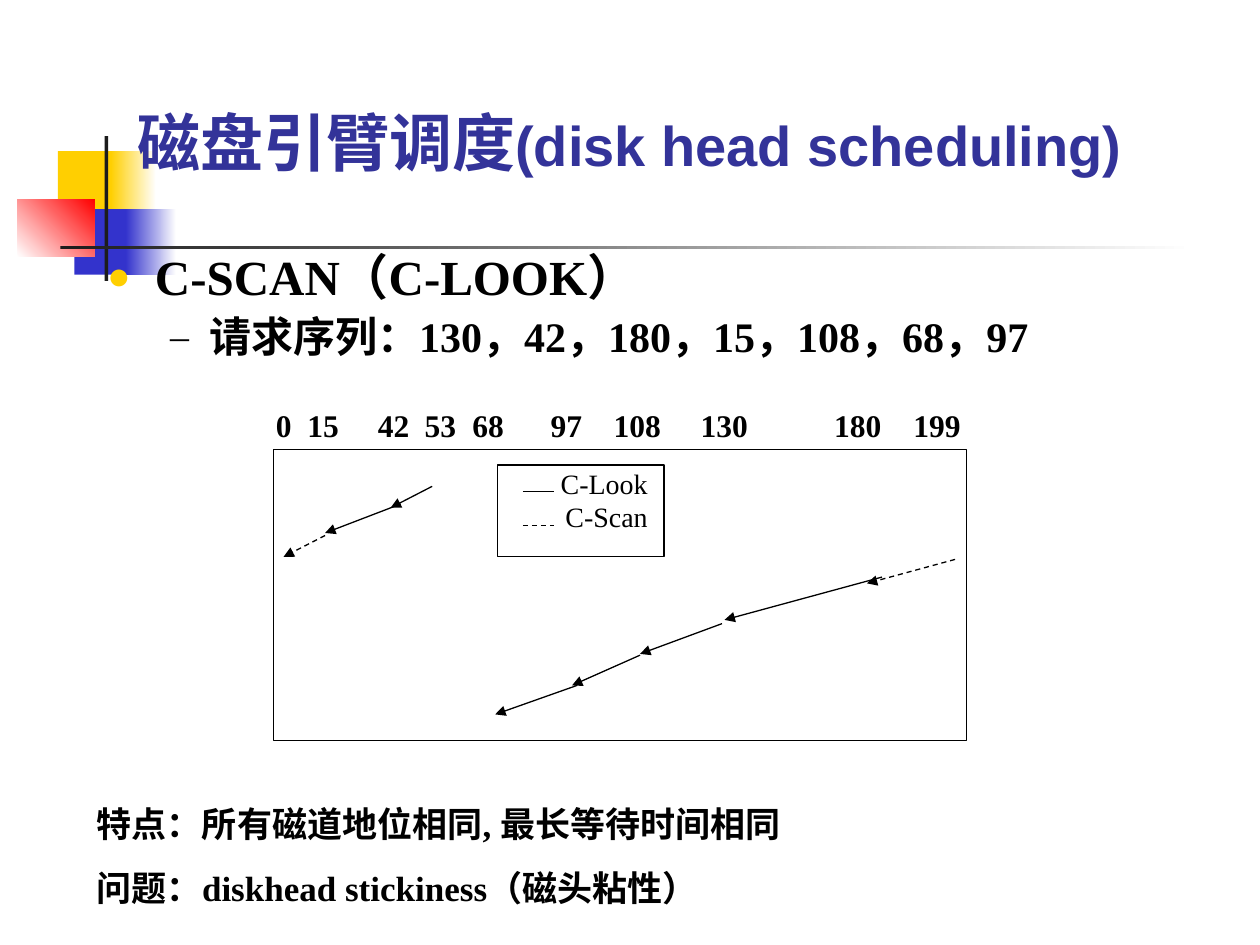
import lxml.etree
import pptx
import pptx.dml.color
import pptx.enum.dml
import pptx.enum.shapes
import pptx.enum.text
import pptx.oxml.ns
import pptx.util

Inches = pptx.util.Inches
Pt = pptx.util.Pt
RGBColor = pptx.dml.color.RGBColor
PP_ALIGN = pptx.enum.text.PP_ALIGN
MSO_ANCHOR = pptx.enum.text.MSO_ANCHOR
DASH = pptx.enum.dml.MSO_LINE.DASH
qn = pptx.oxml.ns.qn

WHITE = RGBColor(0xFF, 0xFF, 0xFF)
BLACK = RGBColor(0, 0, 0)
CHARCOAL = RGBColor(0x1C, 0x1C, 0x1C)
YELLOW = RGBColor(0xFF, 0xCF, 0x01)
BLUE = RGBColor(0x33, 0x33, 0xCC)
RED = RGBColor(0xFF, 0, 0)
TITLE_BLUE = RGBColor(0x33, 0x33, 0x99)
SERIF = "Times New Roman"

TRACKS = [("0", 0), ("15", 0.25), ("42", 0.81), ("53", 1.18), ("68", 1.56),
          ("97", 2.18), ("108", 2.68), ("130", 3.37), ("180", 4.43), ("199", 5.06)]
LOOK_MOVES = [(1.26, 0.29, 0.93, 0.46), (1.01, 0.43, 0.41, 0.66),
              (4.83, 1.01, 3.58, 1.35), (3.56, 1.38, 2.91, 1.62),
              (2.91, 1.63, 2.37, 1.87), (2.41, 1.87, 1.76, 2.1)]
SCAN_MOVES = [(0.41, 0.68, 0.08, 0.85), (5.41, 0.87, 4.71, 1.06)]


def write_text(para, text, size=20, font=SERIF, color=BLACK, bold=True):
    """Add one formatted run to a paragraph."""
    span = para.add_run()
    span.text = text
    span.font.size = Pt(size)
    span.font.name = font
    span.font.color.rgb = color
    span.font.bold = bold


def set_frame(frame, insets=(0.1, 0.05, 0.1, 0.05), anchor=MSO_ANCHOR.TOP):
    """Set wrapping, insets and anchor of a text frame."""
    frame.word_wrap = True
    frame.auto_size = pptx.enum.text.MSO_AUTO_SIZE.NONE
    frame.vertical_anchor = anchor
    (frame.margin_left, frame.margin_top,
     frame.margin_right, frame.margin_bottom) = map(Inches, insets)


def place(box, left, top, width, height):
    """Move a placeholder in front of the ornament and size it."""
    box.left, box.top, box.width, box.height = map(Inches, (left, top, width, height))
    box.element.getparent().append(box.element)


def add_rectangle(page, left, top, width, height):
    """Add a rectangle without shadow, fill or line."""
    box = page.shapes.add_shape(pptx.enum.shapes.MSO_SHAPE.RECTANGLE,
                                *map(Inches, (left, top, width, height)))
    box.shadow.inherit = False
    box.fill.background()
    box.line.fill.background()
    return box


def add_frame(page, left, top, width, height):
    """Add a rectangle with a thin black outline."""
    box = add_rectangle(page, left, top, width, height)
    box.line.color.rgb = BLACK
    box.line.width = Pt(0.75)
    return box


def add_line(page, start_x, start_y, end_x, end_y, dashed=False, arrow=True):
    """Add a thin black line, with an arrowhead at its end if asked."""
    line = page.shapes.add_connector(pptx.enum.shapes.MSO_CONNECTOR.STRAIGHT,
                                     *map(Inches, (start_x, start_y, end_x, end_y)))
    line.line.color.rgb = BLACK
    line.line.width = Pt(0.75)
    if dashed:
        line.line.dash_style = DASH
    if arrow:
        outline = line.line._get_or_add_ln()
        lxml.etree.SubElement(outline, qn("a:tailEnd"), type="triangle")
    lxml.etree.SubElement(line.element.spPr, qn("a:effectLst"))


def add_bullet(para, sign, color, percent, left, indent):
    """Give a paragraph a coloured bullet and a hanging indent."""
    props = para._p.get_or_add_pPr()
    props.set("marL", str(Inches(left)))
    props.set("indent", str(Inches(indent)))
    tint = lxml.etree.SubElement(props, qn("a:buClr"))
    lxml.etree.SubElement(tint, qn("a:srgbClr"), val=str(color))
    lxml.etree.SubElement(props, qn("a:buSzPct"), val=str(percent * 1000))
    lxml.etree.SubElement(props, qn("a:buFont"), typeface=SERIF)
    lxml.etree.SubElement(props, qn("a:buChar"), char=sign)


def add_ornament(page, left, top):
    """Draw the coloured squares and the two crossing bars."""
    parts = [(0.32, 0.12, 0.48, 0.52, YELLOW, YELLOW, 0),
             (0.74, 0.12, 0.36, 0.52, YELLOW, WHITE, 0),
             (0.45, 0.58, 0.46, 0.52, BLUE, BLUE, 0),
             (0.86, 0.58, 0.4, 0.52, BLUE, WHITE, 0),
             (0, 0.5, 0.61, 0.46, WHITE, RED, 45),
             (0.69, 0, 0.03, 1.15, CHARCOAL, CHARCOAL, 0),
             (0.34, 0.87, 9, 0.03, CHARCOAL, WHITE, 0)]
    for across, down, width, height, first, last, angle in parts:
        box = add_rectangle(page, left + across, top + down, width, height)
        if first == last:
            box.fill.solid()
            box.fill.fore_color.rgb = first
        else:
            box.fill.gradient()
            box.fill.gradient_angle = angle
            for stop, color in zip(box.fill.gradient_stops, (first, last)):
                stop.color.rgb = color


def add_title(page, left, top, width, height):
    """Fill the title placeholder."""
    box = page.shapes.title
    place(box, left, top, width, height)
    set_frame(box.text_frame, anchor=MSO_ANCHOR.MIDDLE)
    para = box.text_frame.paragraphs[0]
    para.alignment = PP_ALIGN.CENTER
    for text, size in (("磁盘引臂调度", 36), ("(disk head scheduling)", 32)):
        write_text(para, text, size=size, font="Arial", color=TITLE_BLUE)


def add_body(page, left, top, width, height):
    """Fill the body placeholder with the algorithm and its requests."""
    box = page.placeholders[1]
    place(box, left, top, width, height)
    set_frame(box.text_frame)
    heading = box.text_frame.paragraphs[0]
    requests = box.text_frame.add_paragraph()
    requests.level = 1
    add_bullet(heading, "●", YELLOW, 80, 0.38, -0.38)
    add_bullet(requests, "–", BLACK, 90, 0.81, -0.31)
    for para, before in ((heading, 0), (requests, 6)):
        para.line_spacing = 0.9
        para.space_before = Pt(before)
    write_text(heading, "C-SCAN（C-LOOK）", size=28)
    write_text(requests, "请求序列：130，42，180，15，108，68，97", size=24)


def add_remarks(page, left, top, width, height):
    """Write the feature and the problem below the diagram."""
    box = page.shapes.add_textbox(*map(Inches, (left, top, width, height)))
    frame = box.text_frame
    set_frame(frame)
    write_text(frame.paragraphs[0], "特点：所有磁道地位相同, 最长等待时间相同")
    para = frame.add_paragraph()
    para.space_before = Pt(12.5)
    write_text(para, "问题：diskhead stickiness（磁头粘性）")


def add_track_labels(page, left, top, width, height):
    """Write the track numbers at their tab stops."""
    box = page.shapes.add_textbox(*map(Inches, (left, top, width, height)))
    set_frame(box.text_frame, insets=(0.02, 0, 0.02, 0))
    para = box.text_frame.paragraphs[0]
    stops = lxml.etree.SubElement(para._p.get_or_add_pPr(), qn("a:tabLst"))
    for _, offset in TRACKS[1:]:
        lxml.etree.SubElement(stops, qn("a:tab"), pos=str(Inches(offset)), algn="l")
    write_text(para, "\t".join(label for label, _ in TRACKS), size=18)


def add_legend(page, left, top, width, height):
    """Draw the key to the solid and dashed lines."""
    box = add_frame(page, left, top, width, height)
    frame = box.text_frame
    set_frame(frame, insets=(0.1, 0.01, 0.13, 0.05))
    for row, text in enumerate(("C-Look", "C-Scan")):
        para = frame.add_paragraph() if row else frame.paragraphs[0]
        para.alignment = PP_ALIGN.RIGHT
        write_text(para, text, size=16, bold=False)
        line_top = top + 0.21 + 0.27 * row
        add_line(page, left + 0.2, line_top, left + 0.45, line_top,
                 dashed=row == 1, arrow=False)


def add_diagram(page, left, top, width, height):
    """Draw the framed head movements with track numbers and legend."""
    add_frame(page, left, top, width, height)
    add_track_labels(page, left, top - 0.35, width, 0.41)
    for moves, dashed in ((LOOK_MOVES, False), (SCAN_MOVES, True)):
        for start_x, start_y, end_x, end_y in moves:
            add_line(page, left + start_x, top + start_y,
                     left + end_x, top + end_y, dashed=dashed)
    add_legend(page, left + 1.78, top + 0.12, 1.32, 0.73)


def main():
    """Build the slide and save the deck."""
    deck = pptx.Presentation()
    deck.slide_width, deck.slide_height = Inches(10), Inches(7.5)
    page = deck.slides.add_slide(deck.slide_layouts[1])
    add_ornament(page, 0.14, 1.08)
    add_title(page, 0.75, 0.5, 8.5, 1.25)
    add_body(page, 0.75, 1.96, 8.5, 1)
    add_remarks(page, 0.67, 6.32, 8.92, 0.94)
    add_diagram(page, 2.17, 3.57, 5.5, 2.31)
    deck.save("out.pptx")


if __name__ == "__main__":
    main()
